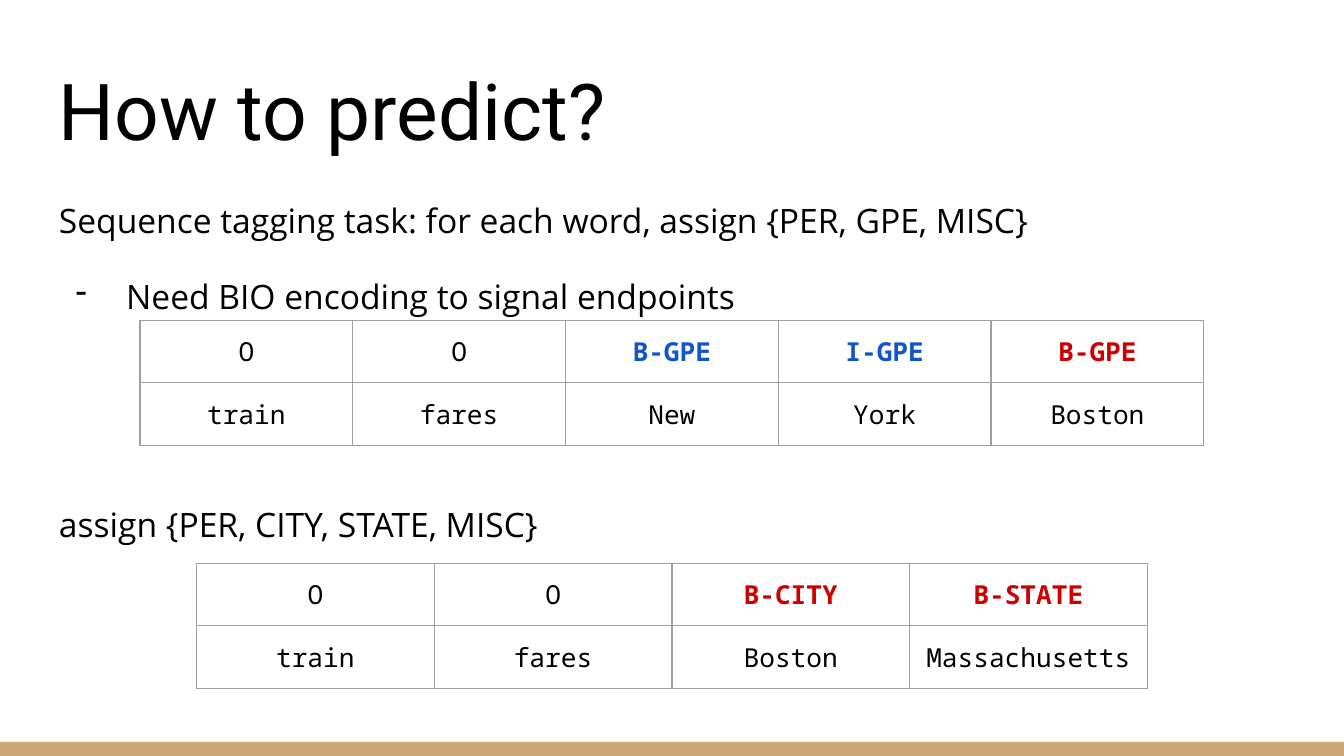
from dataclasses import dataclass

from lxml.etree import SubElement
from pptx import Presentation
from pptx.dml.color import RGBColor
from pptx.enum.shapes import MSO_SHAPE
from pptx.enum.text import MSO_ANCHOR, PP_ALIGN
from pptx.oxml.ns import qn
from pptx.util import Pt

SLIDE_WIDTH, SLIDE_HEIGHT = 720, 405
INSET = 7.2
MARGIN = 24.5
TEXT_WIDTH = SLIDE_WIDTH - 2 * MARGIN


@dataclass(frozen=True)
class Theme:
    text: str = "000000"
    first_entity: str = "1155CC"
    second_entity: str = "CC0000"
    border: str = "9E9E9E"
    bar: str = "CCA677"
    title_font: str = "Roboto"
    body_font: str = "Open Sans"
    table_font: str = "Noto Sans Mono"
    title_size: float = 42
    body_size: float = 18
    table_size: float = 14
    border_width: float = 0.75


class SlideBuilder:
    def __init__(self, slide, theme):
        self.slide = slide
        self.theme = theme

    def format_runs(self, paragraph, font, size, color, bold=False):
        for run in paragraph.runs:
            run.font.name = font
            run.font.size = Pt(size)
            run.font.bold = bold
            run.font.color.rgb = RGBColor.from_string(color)

    def bar(self, top, height):
        shape = self.slide.shapes.add_shape(
            MSO_SHAPE.RECTANGLE, Pt(0), Pt(top), Pt(SLIDE_WIDTH), Pt(height))
        shape.shadow.inherit = False
        shape.fill.solid()
        shape.fill.fore_color.rgb = RGBColor.from_string(self.theme.bar)
        shape.line.fill.background()

    def text_frame(self, top, height, anchor):
        """Add a text box between the margins and return its text frame."""
        shape = self.slide.shapes.add_textbox(
            Pt(MARGIN), Pt(top), Pt(TEXT_WIDTH), Pt(height))
        frame = shape.text_frame
        frame.word_wrap = True
        frame.vertical_anchor = anchor
        frame.margin_left = frame.margin_right = Pt(INSET)
        frame.margin_top = frame.margin_bottom = Pt(INSET)
        return frame

    def title(self, text, top, height):
        frame = self.text_frame(top, height, MSO_ANCHOR.BOTTOM)
        frame.text = text
        self.format_runs(frame.paragraphs[0], self.theme.title_font,
                         self.theme.title_size, self.theme.text)

    def body(self, items, top, height):
        """Add paragraphs given as (text, space before, has dash)."""
        frame = self.text_frame(top, height, MSO_ANCHOR.TOP)
        frame.text = "\n".join(text for text, _, _ in items)
        for paragraph, (_, space_before, has_dash) in zip(frame.paragraphs, items):
            paragraph.line_spacing = 1.15
            paragraph.space_before = Pt(space_before)
            self.format_runs(paragraph, self.theme.body_font,
                             self.theme.body_size, self.theme.text)
            if has_dash:
                self.dash(paragraph)

    def dash(self, paragraph):
        properties = paragraph._p.get_or_add_pPr()
        properties.set("marL", str(Pt(36)))
        properties.set("indent", str(Pt(-27)))
        SubElement(properties, qn("a:buChar"), char="-")

    def table(self, tagged_words, top, column_width, row_height=33.5):
        """Add a centred table of (word, tag, tag colour): tags above words."""
        count = len(tagged_words)
        width = count * column_width
        table = self.slide.shapes.add_table(
            2, count, Pt((SLIDE_WIDTH - width) / 2), Pt(top),
            Pt(width), Pt(2 * row_height)).table
        table.first_row = table.horz_banding = False
        for index, (word, tag, color) in enumerate(tagged_words):
            is_entity = color != self.theme.text
            self.cell(table.cell(0, index), tag, color, is_entity)
            self.cell(table.cell(1, index), word, self.theme.text)

    def cell(self, cell, text, color, bold=False):
        cell.margin_left = cell.margin_right = Pt(INSET)
        cell.margin_top = cell.margin_bottom = Pt(INSET)
        cell.text_frame.text = text
        paragraph = cell.text_frame.paragraphs[0]
        paragraph.alignment = PP_ALIGN.CENTER
        self.format_runs(paragraph, self.theme.table_font,
                         self.theme.table_size, color, bold)
        properties = cell._tc.get_or_add_tcPr()
        for side in ("a:lnL", "a:lnR", "a:lnT", "a:lnB"):
            line = SubElement(properties, qn(side),
                              w=str(Pt(self.theme.border_width)))
            fill = SubElement(line, qn("a:solidFill"))
            SubElement(fill, qn("a:srgbClr"), val=self.theme.border)
        cell.fill.background()


def main():
    presentation = Presentation()
    presentation.slide_width = Pt(SLIDE_WIDTH)
    presentation.slide_height = Pt(SLIDE_HEIGHT)
    slide = presentation.slides.add_slide(presentation.slide_layouts[6])
    theme = Theme()
    builder = SlideBuilder(slide, theme)

    builder.bar(top=397.5, height=7.5)
    builder.title("How to predict?", top=25.2, height=65.5)
    builder.body([
        ("Sequence tagging task: for each word, assign {PER, GPE, MISC}", 0, False),
        ("Need BIO encoding to signal endpoints", 16, True),
        ("assign {PER, CITY, STATE, MISC}", 97.4, False),
    ], top=96.5, height=264)

    outside = [("train", "O", theme.text), ("fares", "O", theme.text)]
    builder.table(outside + [
        ("New", "B-GPE", theme.first_entity),
        ("York", "I-GPE", theme.first_entity),
        ("Boston", "B-GPE", theme.second_entity),
    ], top=171.6, column_width=114)
    builder.table(outside + [
        ("Boston", "B-CITY", theme.second_entity),
        ("Massachusetts", "B-STATE", theme.second_entity),
    ], top=301.7, column_width=127.35)

    presentation.save("out.pptx")


if __name__ == "__main__":
    main()
